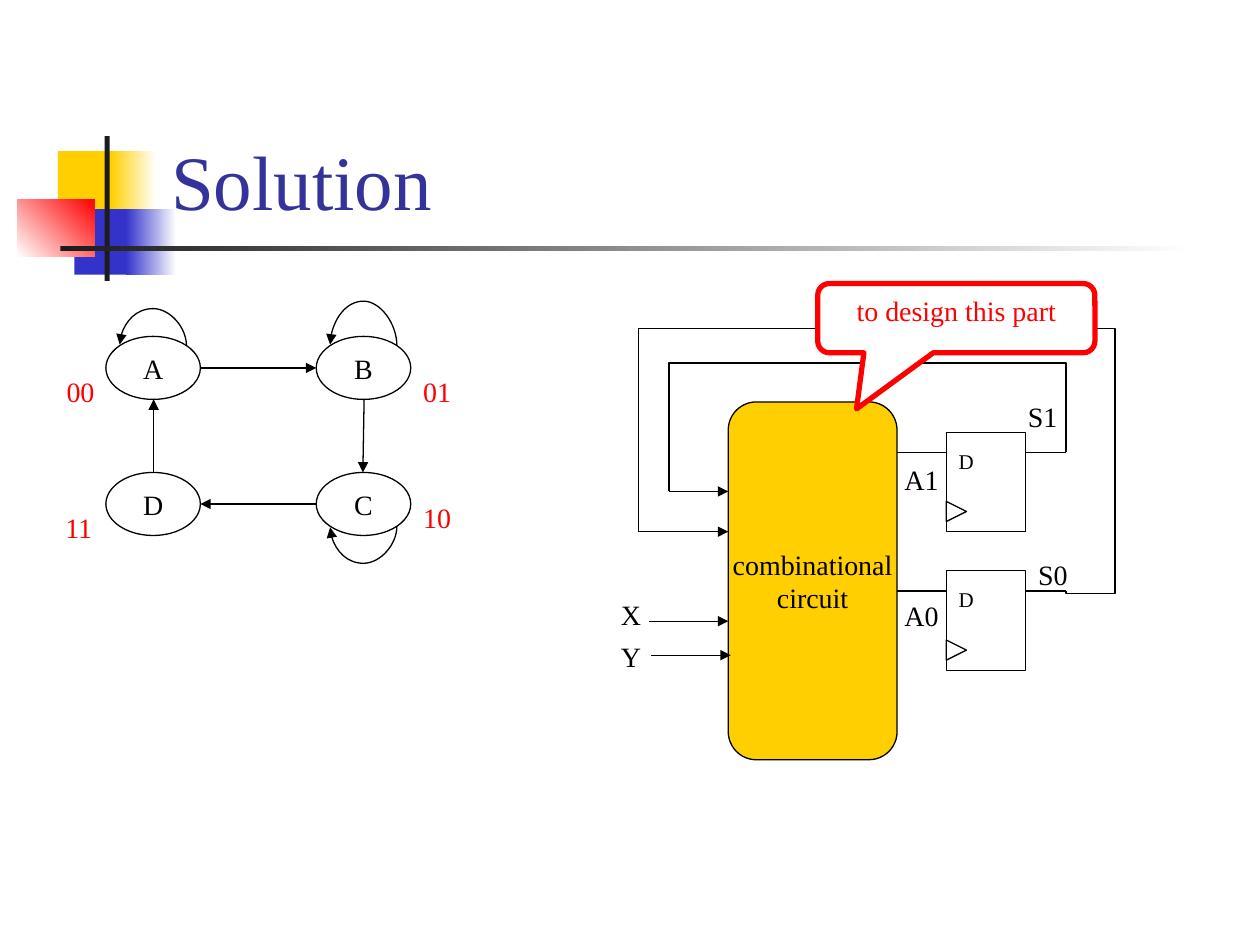
from lxml import etree
from pptx import Presentation
from pptx.dml import color
from pptx.enum import shapes, text
from pptx.oxml import ns
from pptx.util import Inches, Pt

KIND = shapes.MSO_SHAPE
LINK = shapes.MSO_CONNECTOR
MID, TOP, LOW = (text.MSO_ANCHOR.MIDDLE, text.MSO_ANCHOR.TOP,
                 text.MSO_ANCHOR.BOTTOM)
CENTER = text.PP_ALIGN.CENTER
BLACK, WHITE, RED = "000000", "FFFFFF", "FF0000"
GOLD, BLUE, DARK, NAVY = "FFCF01", "3333CC", "1C1C1C", "333399"

DECOR = [
    ((0.46, 1.2, 0.48, 0.52), (GOLD,), 0),
    ((0.88, 1.2, 0.36, 0.52), (GOLD, WHITE), 0),
    ((0.59, 1.66, 0.46, 0.52), (BLUE,), 0),
    ((1, 1.66, 0.4, 0.52), (BLUE, WHITE), 0),
    ((0.14, 1.58, 0.61, 0.46), (WHITE, RED), 45),
    ((0.83, 1.08, 0.04, 1.15), (DARK,), 0),
    ((0.48, 1.95, 9, 0.04), (DARK, WHITE), 0),
]
STATES = [("A", 0.84, 2.67), ("B", 2.51, 2.67),
          ("C", 2.51, 3.75), ("D", 0.84, 3.75)]
MOVES = [(1.59, 2.92, 2.51, 2.92), (2.89, 3.17, 2.88, 3.75),
         (2.51, 4, 1.59, 4), (1.22, 3.75, 1.22, 3.17)]
LOOPS = [(1.48, 2.74, 0.95, 0.3), (3.15, 2.74, 2.62, 0.36),
         (3.15, 4.18, 2.62, -0.3)]
CODES = [("00", 0.43, 2.92), ("11", 0.42, 4),
         ("01", 3.26, 2.92), ("10", 3.26, 3.92)]
FLOPS = [3.43, 4.53]
INPUTS = [(5.31, 3.9, 5.78), (5.07, 4.22, 5.78),
          (5.15, 4.93, 5.78), (5.17, 5.2, 5.8)]
NAMES = [("X", 4.83, 4.69), ("Y", 4.83, 5.03), ("S1", 8.06, 3.12),
         ("S0", 8.14, 4.38), ("A1", 7.08, 3.62), ("A0", 7.08, 4.7)]

deck = Presentation()
deck.slide_width, deck.slide_height = Inches(10), Inches(7.5)
page = deck.slides.add_slide(deck.slide_layouts[6]).shapes


def rgb(code):
    return color.RGBColor.from_string(code)


def write(shape, words, size=16, ink=BLACK, anchor=TOP, align=None, wrap=False):
    frame = shape.text_frame
    frame.word_wrap = wrap
    frame.vertical_anchor = anchor
    frame.text = words
    for para in frame.paragraphs:
        para.alignment = align
        para.font.name = "Times New Roman"
        para.font.size = Pt(size)
        para.font.color.rgb = rgb(ink)


def label(words, x, y, w=0.48, h=0.37, **style):
    write(page.add_textbox(*map(Inches, (x, y, w, h))), words, **style)


def draw(kind, box, fill=(), angle=0, line=BLACK, width=0.75):
    shape = page.add_shape(kind, *map(Inches, box))
    shape.shadow.inherit = False
    if len(fill) == 2:
        shape.fill.gradient()
        shape.fill.gradient_angle = angle
        for stop, code in zip(shape.fill.gradient_stops, fill):
            stop.color.rgb = rgb(code)
    elif fill:
        shape.fill.solid()
        shape.fill.fore_color.rgb = rgb(fill[0])
    else:
        shape.fill.background()
    if line:
        shape.line.color.rgb = rgb(line)
        shape.line.width = Pt(width)
    else:
        shape.line.fill.background()
    return shape


def join(x1, y1, x2, y2, kind=LINK.STRAIGHT, arrow=False):
    wire = page.add_connector(kind, *map(Inches, (x1, y1, x2, y2)))
    wire.line.color.rgb = rgb(BLACK)
    wire.line.width = Pt(0.75)
    if arrow:
        etree.SubElement(wire.line._ln, ns.qn("a:tailEnd"), type="triangle")
    etree.SubElement(wire._element.spPr, ns.qn("a:effectLst"))
    return wire


def turn(kind, preset, start, end, up, bends, arrow=False):
    (x1, y1), (x2, y2) = start, end
    w, h = max(abs(y2 - y1), 0.01), x1 - x2
    left, mid = (x1 + x2 - w) / 2, (y1 + y2) / 2
    rise = -h / 2 if up else h / 2
    wire = join(left, mid - rise, left + w, mid + rise, kind, arrow)
    props = wire._element.spPr
    props.find(ns.qn("a:xfrm")).set("rot", "16200000" if up else "5400000")
    geom = props.find(ns.qn("a:prstGeom"))
    geom.set("prst", preset)
    guides = geom.find(ns.qn("a:avLst"))
    if guides is None:
        guides = etree.SubElement(geom, ns.qn("a:avLst"))
    for i, bend in enumerate(bends, 1):
        ratio = bend / (w if i % 2 else h)
        etree.SubElement(guides, ns.qn("a:gd"), name=f"adj{i}",
                         fmla=f"val {round(ratio * 100000)}")


for box, fill, angle in DECOR:
    draw(KIND.RECTANGLE, box, fill, angle, line=None)
label("Solution", 1.26, 0.23, 8.52, 1.61, size=44, ink=NAVY, anchor=LOW, wrap=True)

for name, x, y in STATES:
    state = draw(KIND.OVAL, (x, y, 0.75, 0.5))
    write(state, name, anchor=MID, align=CENTER, wrap=True)
for move in MOVES:
    join(*move, arrow=True)
for x1, y, x2, rise in LOOPS:
    turn(LINK.CURVE, "curvedConnector3", (x1, y), (x2, y), rise > 0,
         [abs(rise)], arrow=True)
for code, x, y in CODES:
    label(code, x, y, w=0.43, ink=RED)

for y in FLOPS:
    draw(KIND.RECTANGLE, (7.51, y, 0.63, 0.79))
    label("D", 7.51, y + 0.08, 0.32, 0.3, size=12)
    draw(KIND.ISOSCELES_TRIANGLE, (7.51, y + 0.55, 0.16, 0.16)).rotation = 90
    for x1, x2 in ((8.14, 8.46), (7.12, 7.51)):
        join(x1, y + 0.16, x2, y + 0.16)

block = draw(KIND.ROUNDED_RECTANGLE, (5.78, 3.19, 1.34, 2.84), (GOLD,))
write(block, "combinational\ncircuit", anchor=MID, align=CENTER)
for x1, y, x2 in INPUTS:
    join(x1, y, x2, y, arrow=True)
turn(LINK.ELBOW, "bentConnector3", (8.46, 3.59), (5.31, 3.9), False, [-0.71])
turn(LINK.ELBOW, "bentConnector5", (8.46, 4.69), (5.07, 4.22), True,
     [-0.02, -0.39, 2.08])
for name, x, y in NAMES:
    label(name, x, y, w=0.48 if len(name) > 1 else 0.36)

note = draw(KIND.ROUNDED_RECTANGULAR_CALLOUT, (6.49, 2.25, 2.2, 0.55), (WHITE,),
            line=RED, width=3)
for i, bend in enumerate((-0.36, 1.31, 0.17)):
    note.adjustments[i] = bend
write(note, "to design this part", ink=RED, align=CENTER, wrap=True)

deck.save("out.pptx")
